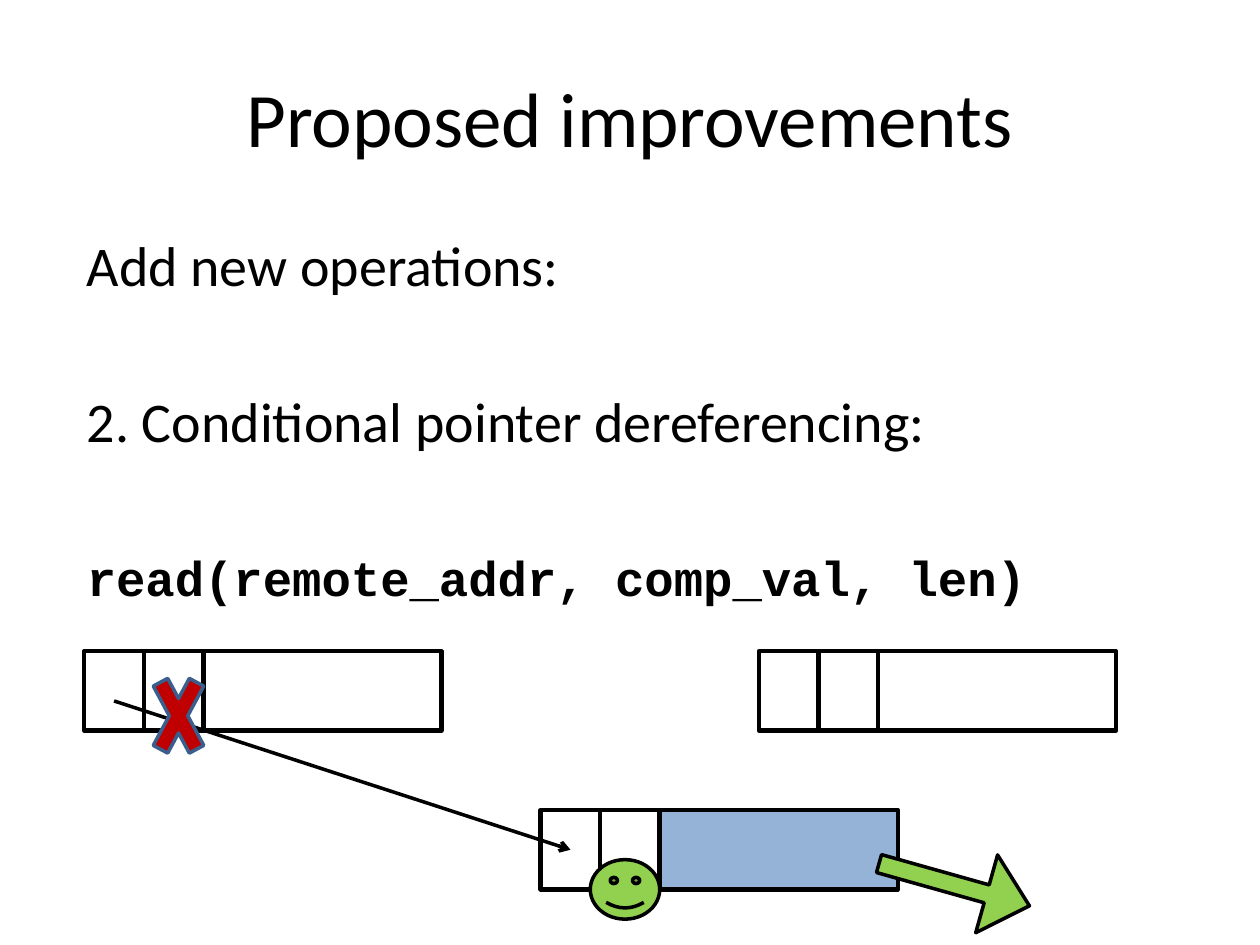
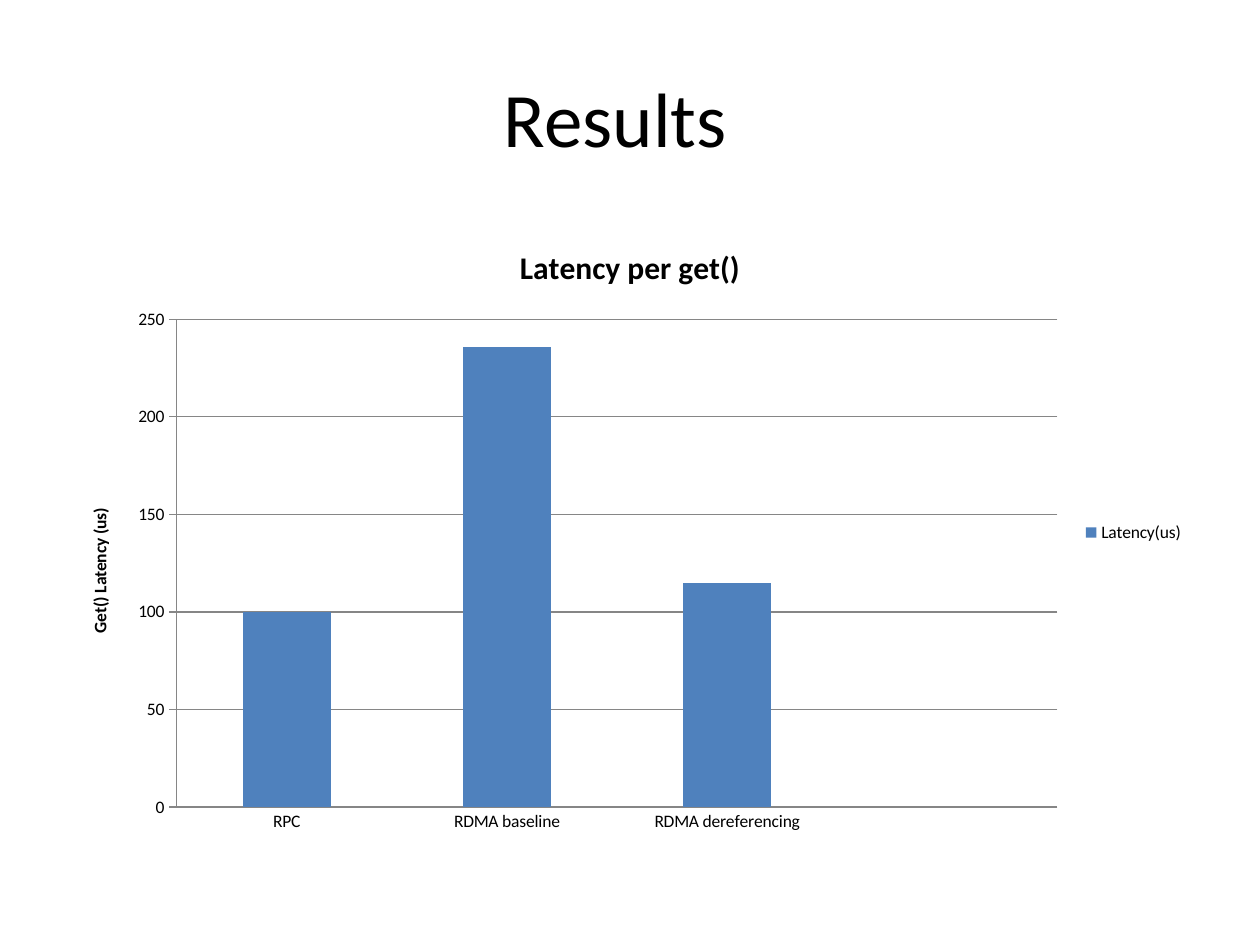
"""Build two slides: conditional dereferencing and its latency results."""
import lxml.etree
import pptx
import pptx.chart.data
import pptx.dml.color
import pptx.enum.chart
import pptx.enum.shapes
import pptx.enum.text
import pptx.oxml.ns
import pptx.util

Cm, Pt = pptx.util.Cm, pptx.util.Pt
SHAPES = pptx.enum.shapes.MSO_SHAPE
ANCHOR = pptx.enum.text.MSO_ANCHOR
ALIGN = pptx.enum.text.PP_ALIGN
CHARTS = pptx.enum.chart

BLACK, WHITE, RED, GREEN = "000000", "FFFFFF", "C00000", "92D050"
PALE_BLUE, DARK_BLUE, BAR_BLUE, GREY = "95B3D7", "3A5F8C", "4F81BD", "868686"
TITLE_BOX = (1.27, 0.76, 22.86, 3.18)
BODY_BOX = (1.5, 4.52, 22.86, 12.57)
CHART_BOX = (1.27, 4.45, 22.86, 12.57)
CELL_WIDTHS, RECORD_HEIGHT = (1.2, 1.2, 4.8), 2 * 0.8


def colour(hex_string):
    """Turn a hex string into a colour."""
    return pptx.dml.color.RGBColor.from_string(hex_string)


def lengths(values):
    """Turn numbers of centimetres into lengths."""
    return [Cm(value) for value in values]


def set_font(font, size, name="Calibri", bold=False, ink=BLACK):
    """Apply the text format to a font."""
    for key, value in {"size": Pt(size), "name": name, "bold": bold}.items():
        setattr(font, key, value)
    font.color.rgb = colour(ink)


def set_line(line, ink, width):
    """Give an outline its colour and width."""
    line.color.rgb = colour(ink)
    line.width = Pt(width)


def add_text(page, box, paragraphs, anchor=ANCHOR.TOP, align=ALIGN.LEFT):
    """Write (text, font format, space before) paragraphs in a text box."""
    frame = page.shapes.add_textbox(*lengths(box)).text_frame
    for key, value in {"word_wrap": True, "vertical_anchor": anchor}.items():
        setattr(frame, key, value)
    for index, (text, font_format, space) in enumerate(paragraphs):
        para = frame.add_paragraph() if index else frame.paragraphs[0]
        for key, value in {"alignment": align, "space_before": Pt(space)}.items():
            setattr(para, key, value)
        span = para.add_run()
        span.text = text
        set_font(span.font, **font_format)


def add_title(page, text):
    """Write the centred slide title."""
    add_text(page, TITLE_BOX, [(text, {"size": 44}, 0)], ANCHOR.MIDDLE, ALIGN.CENTER)


def add_figure(page, kind, box, fill, ink=BLACK, width=2):
    """Add a filled and outlined preset shape."""
    figure = page.shapes.add_shape(kind, *lengths(box))
    figure.shadow.inherit = False
    figure.fill.solid()
    figure.fill.fore_color.rgb = colour(fill)
    set_line(figure.line, ink, width)
    return figure


def add_record(page, left, top, value_fill=WHITE):
    """Draw a record: pointer, key and value cells side by side."""
    for width, fill in zip(CELL_WIDTHS, (WHITE, WHITE, value_fill)):
        add_figure(page, SHAPES.RECTANGLE, (left, top, width, RECORD_HEIGHT), fill, width=2.5)
        left += width


def add_pointer(page, start, end):
    """Draw a line with an open arrowhead at its end."""
    pointer = page.shapes.add_connector(
        pptx.enum.shapes.MSO_CONNECTOR.STRAIGHT, *lengths(start + end))
    set_line(pointer.line, BLACK, 2)
    qn = pptx.oxml.ns.qn
    lxml.etree.SubElement(pointer.line._get_or_add_ln(), qn("a:tailEnd"), type="arrow")
    lxml.etree.SubElement(pointer._element.spPr, qn("a:effectLst"))


def add_lookup(page, left, top):
    """Draw a rejected record that points to the matching record."""
    match_left, match_top = left + 9.2, top + 3.2
    add_record(page, left, top)
    add_record(page, left + 13.6, top)
    add_record(page, match_left, match_top, PALE_BLUE)
    add_pointer(page, (left + 0.6, top + 1), (match_left + 0.6, match_top + 0.8))
    add_figure(page, SHAPES.MATH_MULTIPLY, (left + 1.2, top, 1.4, 2.6), RED, DARK_BLUE)
    add_figure(page, SHAPES.SMILEY_FACE, (match_left + 1, match_top + 1, 1.4, 1.2), GREEN)
    arrow = add_figure(
        page, SHAPES.UP_ARROW, (match_left + 7.52, match_top - 0.07, 1.63, 3.15), GREEN)
    arrow.rotation = 105.7
    arrow.adjustments[0], arrow.adjustments[1] = 0.23, 0.55


def add_latency_chart(page, box):
    """Add the column chart of latency by method."""
    data = pptx.chart.data.CategoryChartData()
    data.categories = ["RPC", "RDMA baseline", "RDMA dereferencing", ""]
    data.add_series("Latency(us)", (100, 236, 115, None))
    chart = page.shapes.add_chart(
        CHARTS.XL_CHART_TYPE.COLUMN_CLUSTERED, *lengths(box), data).chart
    set_font(chart.font, 10)
    chart.has_legend = True
    chart.legend.position = CHARTS.XL_LEGEND_POSITION.RIGHT
    chart.legend.include_in_layout = False

    plot = chart.plots[0]
    for key, value in {"gap_width": 150, "vary_by_categories": False}.items():
        setattr(plot, key, value)
    bars = plot.series[0].format.fill
    bars.solid()
    bars.fore_color.rgb = colour(BAR_BLUE)

    values, categories = chart.value_axis, chart.category_axis
    values.has_major_gridlines = True
    values.major_tick_mark = CHARTS.XL_TICK_MARK.OUTSIDE
    categories.major_tick_mark = CHARTS.XL_TICK_MARK.NONE
    for part in (values, values.major_gridlines, categories):
        set_line(part.format.line, GREY, 0.75)
    for owner, text, size in ((chart, "Latency per get()", 18),
                              (values, "Get() Latency (us)", 10)):
        owner.has_title = True
        title = owner.chart_title if owner is chart else owner.axis_title
        title.text_frame.text = text
        set_font(title.text_frame.paragraphs[0].runs[0].font, size, bold=True)


def build_improvements(page):
    """Fill the slide on conditional dereferencing."""
    add_title(page, "Proposed improvements")
    code = {"size": 28, "name": "Courier New", "bold": True}
    add_text(page, BODY_BOX, [
        ("Add new operations:", {"size": 32}, 0),
        ("2. Conditional pointer dereferencing:", {"size": 32}, 50.6),
        ("read(remote_addr, comp_val, len)", code, 54),
    ])
    add_lookup(page, 1.7, 13.13)


def build_results(page):
    """Fill the slide with the measured latency."""
    add_title(page, "Results\t")
    add_latency_chart(page, CHART_BOX)


def main():
    """Build and save the deck."""
    deck = pptx.Presentation()
    deck.slide_width, deck.slide_height = lengths((25.4, 19.05))
    for build in (build_improvements, build_results):
        build(deck.slides.add_slide(deck.slide_layouts[6]))
    deck.save("out.pptx")


main()
